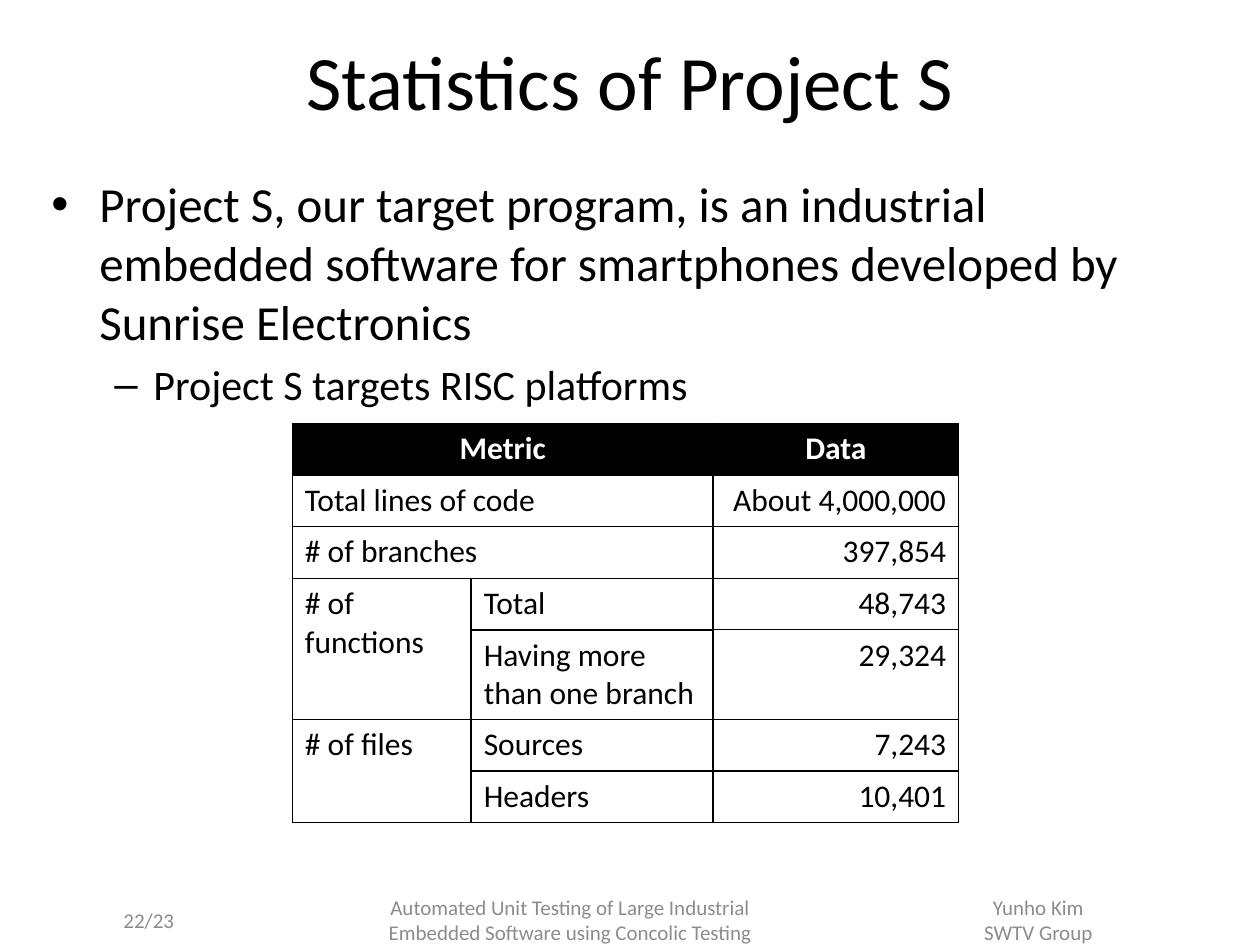
import pptx
import pptx.util
import pptx.dml.color
import pptx.enum.text
import pptx.oxml
import pptx.oxml.ns
from pptx.util import Inches, Pt

BLACK = pptx.dml.color.RGBColor(0, 0, 0)
WHITE = pptx.dml.color.RGBColor(255, 255, 255)
GRAY = pptx.dml.color.RGBColor(0x8C, 0x8C, 0x8C)
ALIGN = pptx.enum.text.PP_ALIGN
LEFT, CENTER, RIGHT = ALIGN.LEFT, ALIGN.CENTER, ALIGN.RIGHT
MIDDLE = pptx.enum.text.MSO_ANCHOR.MIDDLE
NS = pptx.oxml.ns.nsdecls("a")


def style(para, size, color, align, bold=False):
    para.alignment = align
    para.font.name = "Calibri"
    para.font.size = Pt(size)
    para.font.bold = bold
    para.font.color.rgb = color


def border(cell, side, width):
    cell._tc.get_or_add_tcPr().append(pptx.oxml.parse_xml(
        f'<a:ln{side} {NS} w="{Pt(width)}"><a:solidFill>'
        f'<a:srgbClr val="{BLACK}"/></a:solidFill></a:ln{side}>'))


deck = pptx.Presentation()
deck.slide_width, deck.slide_height = Inches(10), Inches(7.5)
slide = deck.slides.add_slide(deck.slide_layouts[5])

title = slide.shapes.title
title.left, title.top = Inches(0), Inches(0.16)
title.width, title.height = Inches(10), Inches(0.94)
title.text_frame.text = "Statistics of Project S"
title.text_frame.vertical_anchor = MIDDLE
style(title.text_frame.paragraphs[0], 44, BLACK, CENTER)

footers = [
    (0.5, 0.98, RIGHT, "22/23"),
    (1.69, 5.67, CENTER, "Automated Unit Testing of Large Industrial\n"
                         "Embedded Software using Concolic Testing"),
    (7.5, 1.48, CENTER, "Yunho Kim\nSWTV Group"),
]
for left, width, align, text in footers:
    box = slide.shapes.add_textbox(Inches(left), Inches(7.1), Inches(width), Inches(0.4))
    frame = box.text_frame
    frame.word_wrap = True
    frame.vertical_anchor = MIDDLE
    frame.text = text
    for para in frame.paragraphs:
        style(para, 12, GRAY, align)

body = slide.shapes.add_textbox(Inches(0.31), Inches(1.33), Inches(9.22), Inches(5.7))
frame = body.text_frame
frame.word_wrap = True
points = [
    ("Project S, our target program, is an industrial embedded software "
     "for smartphones developed by Sunrise Electronics", 28, "•", 0.38, 0.38),
    ("Project S targets RISC platforms", 24, "–", 0.81, 0.31),
]
frame.text = "\n".join(point[0] for point in points)
for level, (para, point) in enumerate(zip(frame.paragraphs, points)):
    text, size, mark, margin, hang = point
    props = para._p.get_or_add_pPr()
    props.set("marL", str(Inches(margin)))
    props.set("indent", str(-Inches(hang)))
    props.append(pptx.oxml.parse_xml(f'<a:buFont {NS} typeface="Arial"/>'))
    props.append(pptx.oxml.parse_xml(f'<a:buChar {NS} char="{mark}"/>'))
    para.level = level
    if level:
        para.space_before = Pt(size * 0.2)
    style(para, size, BLACK, LEFT)

rows = [
    ("Metric", "", "Data"),
    ("Total lines of code", "", "About 4,000,000"),
    ("# of branches", "", "397,854"),
    ("# of functions", "Total", "48,743"),
    ("", "Having more than one branch", "29,324"),
    ("# of files", "Sources", "7,243"),
    ("", "Headers", "10,401"),
]
table = slide.shapes.add_table(len(rows), 3, Inches(2.32), Inches(3.36),
                               Inches(5.29), Inches(3.17)).table
table.horz_banding = False
for col, width in zip(table.columns, (1.42, 1.92, 1.95)):
    col.width = Inches(width)
for r, row in enumerate(rows):
    table.rows[r].height = Inches(0.71 if r == 4 else 0.41)
    for c, text in enumerate(row):
        cell = table.cell(r, c)
        for side in "LRTB":
            border(cell, side, 0.75 if c == 2 and side != "L" else 1)
        cell.fill.solid()
        cell.fill.fore_color.rgb = WHITE if r else BLACK
        cell.text = text
        align = CENTER if r == 0 else RIGHT if c == 2 else LEFT
        style(cell.text_frame.paragraphs[0], 18, BLACK if r else WHITE, align, r == 0)
for r in range(3):
    table.cell(r, 0).merge(table.cell(r, 1))
for r in (3, 5):
    table.cell(r, 0).merge(table.cell(r + 1, 0))

deck.save("out.pptx")
